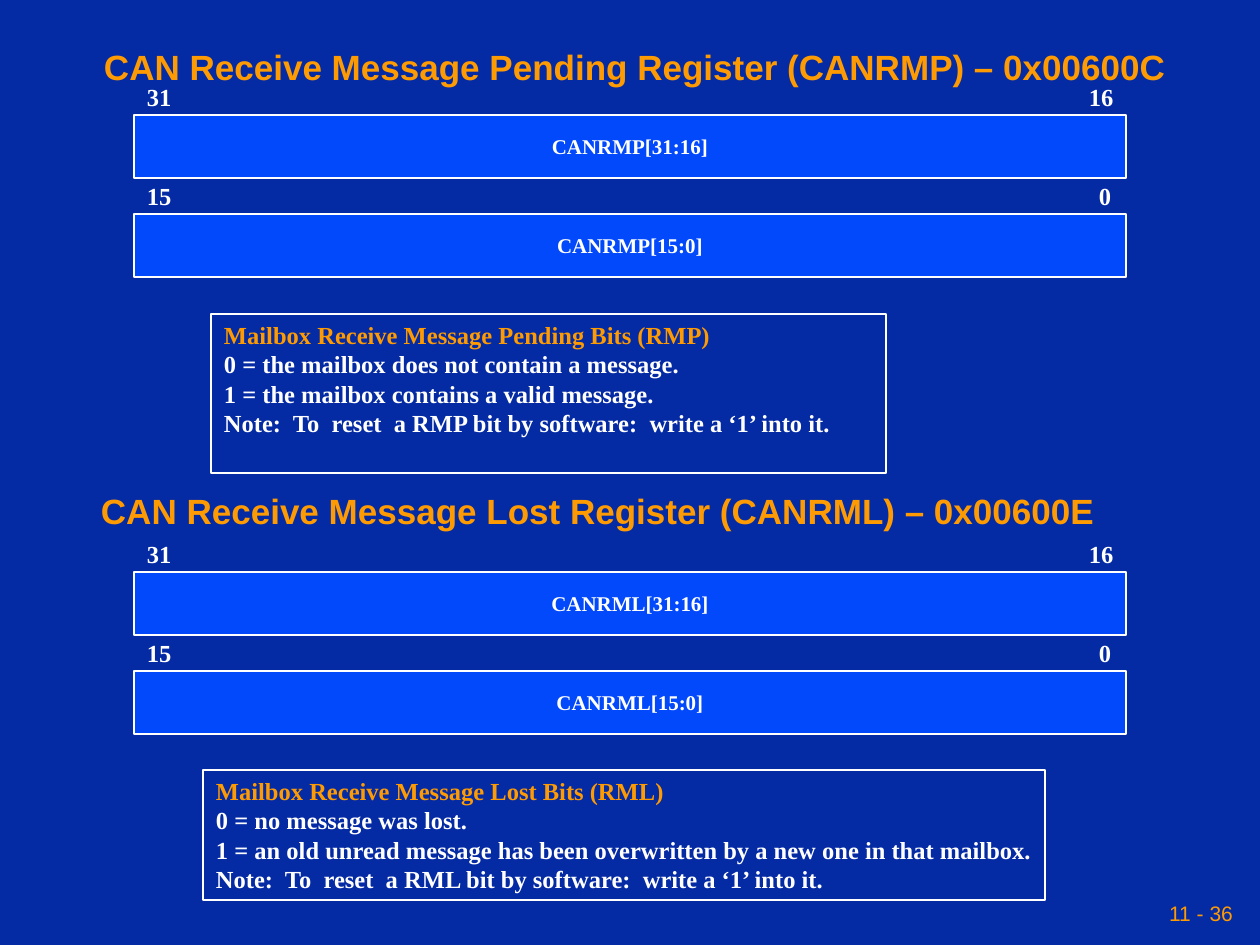
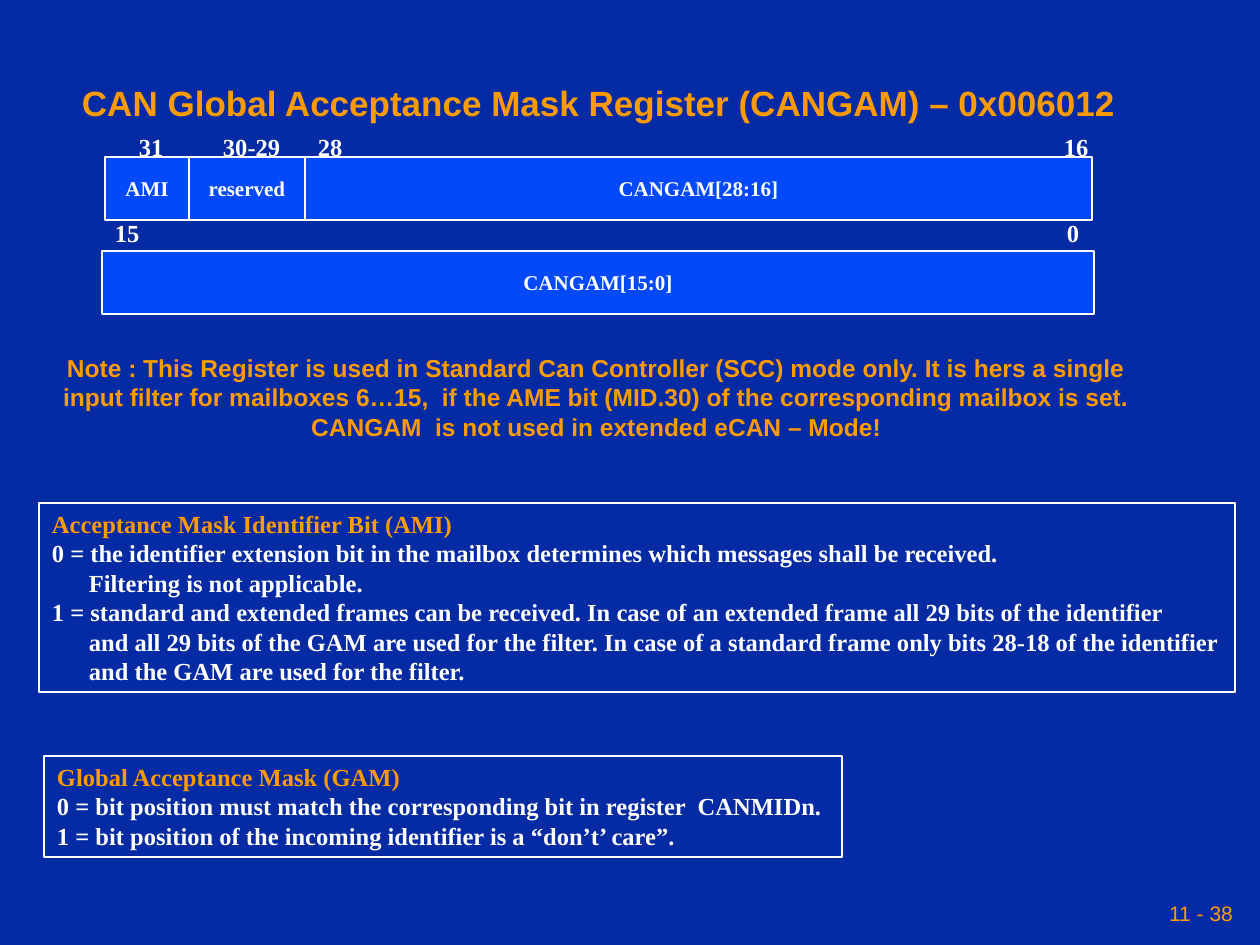
import pptx
import pptx.dml.color
import pptx.enum.shapes
import pptx.enum.text
import pptx.util

PX_PER_INCH = 126
COLORS = {"back": "042AA4", "field": "0249FC", "accent": "FE9B03", "white": "FFFFFF"}
SANS, SERIF = "Arial", "Times New Roman"
ALIGN = pptx.enum.text.PP_ALIGN
ANCHOR = pptx.enum.text.MSO_ANCHOR

ROW_HEIGHT = 63
ROW_WIDTH = 992
LABEL_RISE = 39  # from the top of a bit label to the top of its row
HANG = 37        # indent of continued lines in a description


def emu(px):
    return round(px * 914400 / PX_PER_INCH)


def rgb(name):
    return pptx.dml.color.RGBColor.from_string(COLORS[name])


def write(box, *lines, size=14, font=SERIF, color="white", first_color=None, bold=True,
          align=ALIGN.LEFT, anchor=ANCHOR.TOP, wrap=False, inset=13, hang=0):
    """Fill a box with one paragraph per line; a \\v inside a line breaks it."""
    frame = box.text_frame
    frame.word_wrap = wrap
    frame.vertical_anchor = anchor
    frame.margin_left = emu(inset)
    # Left-aligned text may run up to the right edge, so that it keeps to its lines
    frame.margin_right = 0 if align == ALIGN.LEFT else emu(inset)
    frame.margin_top = frame.margin_bottom = emu(6)
    for index, line in enumerate(lines):
        para = frame.add_paragraph() if index else frame.paragraphs[0]
        para.text = line
        para.alignment = align
        if hang:
            properties = para._p.get_or_add_pPr()
            properties.set("marL", str(emu(hang)))
            properties.set("indent", str(-emu(hang)))
        for span in para.runs:
            span.font.name = font
            span.font.size = pptx.util.Pt(size)
            span.font.bold = bold
            span.font.color.rgb = rgb(first_color if first_color and index == 0 else color)


class RegisterDeck:
    def __init__(self):
        self.deck = pptx.Presentation()
        self.deck.slide_width = emu(1260)
        self.deck.slide_height = emu(945)
        self.page = None

    def add_page(self, number):
        self.page = self.deck.slides.add_slide(self.deck.slide_layouts[6])
        fill = self.page.background.fill
        fill.solid()
        fill.fore_color.rgb = rgb("back")
        self.text(861, 892, 378, 42, number, size=12, font=SANS, color="accent", bold=False,
                  align=ALIGN.RIGHT, anchor=ANCHOR.MIDDLE, wrap=True, inset=6)

    def text(self, left, top, width, height, *lines, **style):
        box = self.page.shapes.add_textbox(emu(left), emu(top), emu(width), emu(height))
        write(box, *lines, **style)

    def title(self, left, top, width, text):
        self.text(left, top, width, 54, text, size=20, font=SANS, color="accent")

    def rectangle(self, left, top, width, height, fill=None):
        box = self.page.shapes.add_shape(pptx.enum.shapes.MSO_SHAPE.RECTANGLE,
                                         emu(left), emu(top), emu(width), emu(height))
        box.shadow.inherit = False
        if fill:
            box.fill.solid()
            box.fill.fore_color.rgb = rgb(fill)
        else:
            box.fill.background()
        box.line.color.rgb = rgb("white")
        box.line.width = pptx.util.Pt(1)
        return box

    def bit(self, text, top, left=None, right=None):
        """Bit number whose box starts at left or ends at right."""
        width = 30 + 10 * len(text)
        self.text(right - width if left is None else left, top, width, 43, text)

    def field(self, left, top, width, name):
        box = self.rectangle(left, top, width, ROW_HEIGHT, "field")
        write(box, name, size=12, align=ALIGN.CENTER, anchor=ANCHOR.MIDDLE)

    def row(self, left, top, name, high, low):
        """Full-width register half with its outer bit numbers."""
        self.bit(high, top - LABEL_RISE, left=left)
        self.bit(low, top - LABEL_RISE, right=left + ROW_WIDTH)
        self.field(left, top, ROW_WIDTH, name)

    def register(self, left, top, name):
        self.row(left, top, f"{name}[31:16]", "31", "16")
        self.row(left, top + 99, f"{name}[15:0]", "15", "0")

    def description(self, left, top, width, height, *lines):
        box = self.rectangle(left, top, width, height)
        write(box, *lines, first_color="accent", wrap=True, hang=HANG)


def pending_and_lost(slides):
    slides.add_page("11 - 36")
    # Message pending register
    slides.title(91, 39, 1087, "CAN Receive Message Pending Register (CANRMP) – 0x00600C")
    slides.register(134, 115, "CANRMP")
    slides.description(211, 314, 675, 159,
                       "Mailbox Receive Message Pending Bits (RMP)",
                       "0 = the mailbox does not contain a message.",
                       "1 = the mailbox contains a valid message.",
                       "Note:  To  reset  a RMP bit by software:  write a ‘1’ into it.")
    # Message lost register
    slides.title(88, 483, 1019, "CAN Receive Message Lost Register (CANRML) – 0x00600E")
    slides.register(134, 572, "CANRML")
    slides.description(203, 770, 842, 130,
                       "Mailbox Receive Message Lost Bits (RML)",
                       "0 = no message was lost.",
                       "1 = an old unread message has been overwritten by a new one in that mailbox.",
                       "Note:  To  reset  a RML bit by software:  write a ‘1’ into it.")


def global_mask(slides):
    slides.add_page("11 - 38")
    slides.title(69, 75, 1060, "CAN Global Acceptance Mask Register (CANGAM) – 0x006012")
    # Upper half: bit numbers, then adjoining fields
    for text, left in (("31", 126), ("30-29", 210), ("28", 305), ("16", 1051)):
        slides.bit(text, 126, left=left)
    left = 105
    for name, width in (("AMI", 84), ("reserved", 116), ("CANGAM[28:16]", 787)):
        slides.field(left, 157, width, name)
        left += width
    # Lower half
    slides.row(102, 251, "CANGAM[15:0]", "15", "0")
    # Usage note
    slides.text(47, 347, 1099, 131,
                "Note : This Register is used in Standard Can Controller (SCC) mode only."
                " It is hers a single",
                "input filter for mailboxes 6…15,  if the AME bit (MID.30) of the"
                " corresponding mailbox is set.",
                "CANGAM  is not used in extended eCAN – Mode!",
                font=SANS, color="accent", align=ALIGN.CENTER, inset=0)
    # Field descriptions
    slides.description(39, 503, 1196, 189,
                       "Acceptance Mask Identifier Bit (AMI)",
                       "0 = the identifier extension bit in the mailbox determines which messages"
                       " shall be received.\vFiltering is not applicable.",
                       "1 = standard and extended frames can be received. In case of an extended"
                       " frame all 29 bits of the identifier\vand all 29 bits of the GAM are used"
                       " for the filter. In case of a standard frame only bits 28-18 of the"
                       " identifier\vand the GAM are used for the filter.")
    slides.description(44, 756, 798, 101,
                       "Global Acceptance Mask (GAM)",
                       "0 = bit position must match the corresponding bit in register  CANMIDn.",
                       "1 = bit position of the incoming identifier is a “don’t’ care”.")


def main():
    slides = RegisterDeck()
    pending_and_lost(slides)
    global_mask(slides)
    slides.deck.save("out.pptx")


if __name__ == "__main__":
    main()
